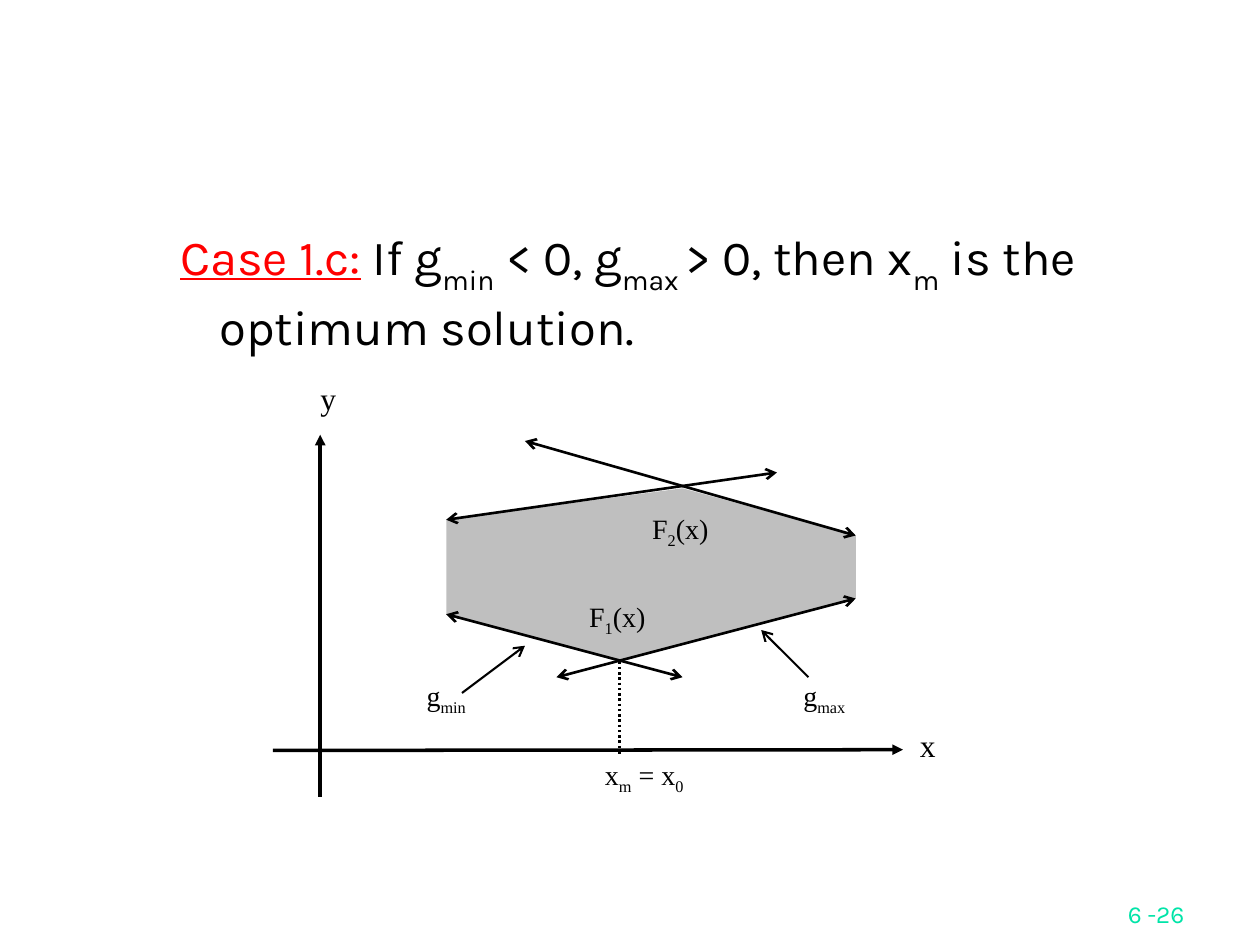
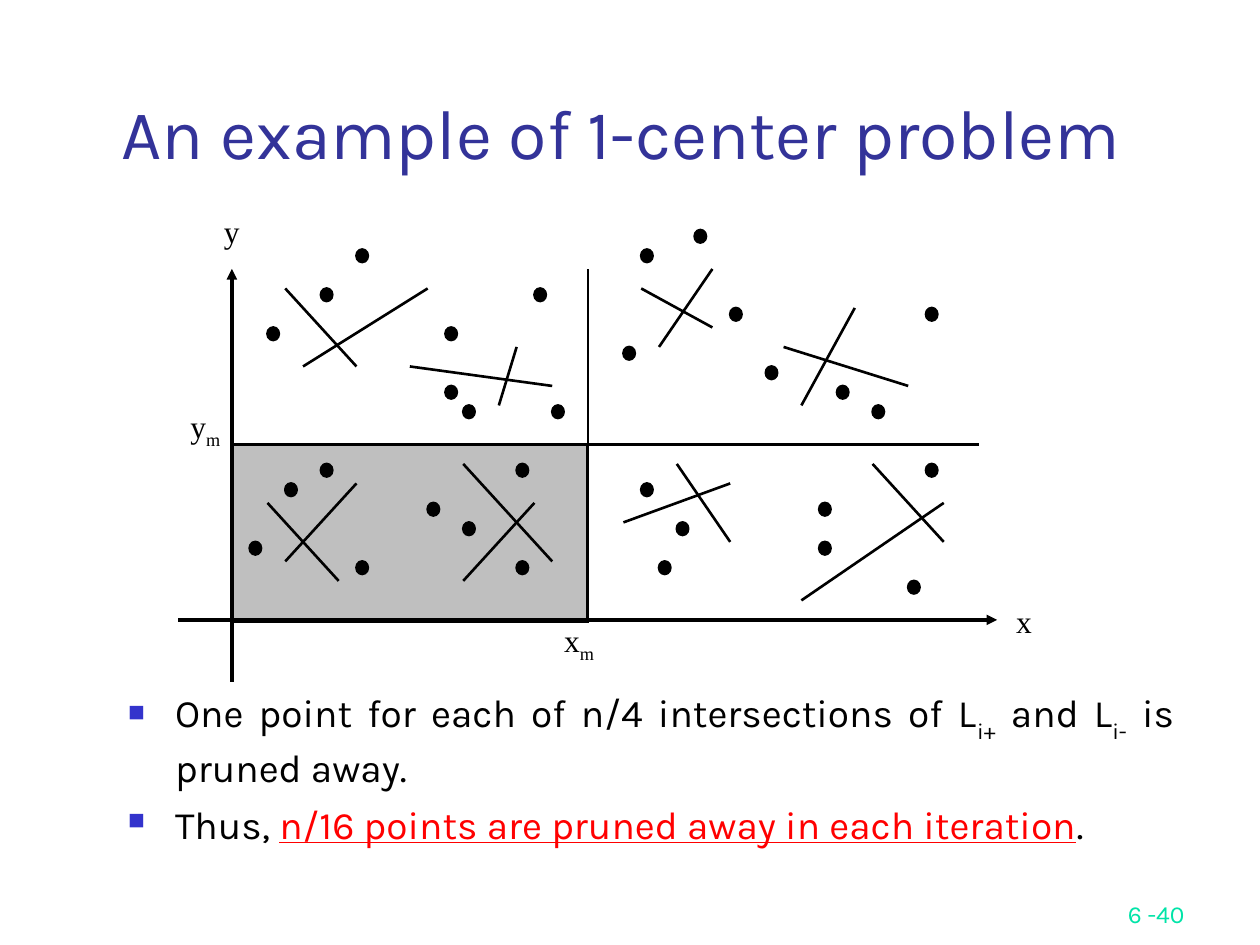
from dataclasses import dataclass
from typing import NamedTuple

from lxml.etree import SubElement
from pptx import Presentation
from pptx.dml.color import RGBColor
from pptx.enum.dml import MSO_LINE
from pptx.enum.shapes import MSO_CONNECTOR, MSO_SHAPE
from pptx.enum.text import MSO_ANCHOR, PP_ALIGN
from pptx.oxml.ns import qn
from pptx.util import Pt


# Theme: colours, fonts, type sizes and line widths
@dataclass(frozen=True)
class Theme:
    ink: str = "000000"
    hot: str = "FF0000"
    title: str = "333399"
    bullet: str = "3333CC"
    page: str = "00E4A8"
    shade: str = "BFBFBF"
    sans: str = "Karla"
    serif: str = "Times New Roman"
    title_size: float = 40
    case_size: float = 28
    list_size: float = 22.2
    axis_size: float = 18
    label_size: float = 16
    page_size: float = 14
    axis_line: float = 2
    line: float = 1.5
    thin: float = 1.19


THEME = Theme()


class Box(NamedTuple):
    left: float
    top: float
    width: float
    height: float


class Grid(NamedTuple):
    left: float
    top: float
    dx: float
    dy: float

    def at(self, col: float, row: float) -> tuple[float, float]:
        return self.left + col * self.dx, self.top + row * self.dy


@dataclass(frozen=True)
class Style:
    size: float
    font: str = THEME.sans
    color: str = THEME.ink
    align: PP_ALIGN = PP_ALIGN.LEFT
    anchor: MSO_ANCHOR = MSO_ANCHOR.TOP
    pad: tuple[float, float] = (7.2, 3.6)
    drop: int = -30
    margin: float = 0
    indent: float = 0
    gap: float = 0
    bullet: str = ""


@dataclass(frozen=True)
class Line:
    start: tuple[float, float]
    end: tuple[float, float]
    width: float = THEME.line
    head: str = ""
    tail: str = ""
    dotted: bool = False


@dataclass(frozen=True)
class Label:
    text: str
    spot: tuple[float, float]
    size: tuple[float, float]
    type_size: float = THEME.label_size
    align: PP_ALIGN = PP_ALIGN.LEFT


TITLE = Style(THEME.title_size, color=THEME.title, align=PP_ALIGN.CENTER,
              anchor=MSO_ANCHOR.BOTTOM)
PAGE = Style(THEME.page_size, color=THEME.page, align=PP_ALIGN.RIGHT,
             anchor=MSO_ANCHOR.BOTTOM)
CASE = Style(THEME.case_size, margin=58.3, indent=-22.3)
LIST = Style(THEME.list_size, align=PP_ALIGN.JUSTIFY, margin=27, indent=-27,
             gap=6, bullet="■")


# Text: "|" parts the runs, "_" lowers a run, "*" makes it red and underlined
def add_runs(para, text: str, style: Style) -> None:
    for part in text.split("|"):
        run = para.add_run()
        run.text = part.lstrip("_*")
        font = run.font
        font.name, font.size = style.font, Pt(style.size)
        hot = part.startswith("*")
        font.underline = hot
        font.color.rgb = RGBColor.from_string(THEME.hot if hot else style.color)
        if part.startswith("_"):
            run._r.get_or_add_rPr().set("baseline", str(style.drop * 1000))


def add_bullet(para, mark: str) -> None:
    props = para._p.get_or_add_pPr()
    color = SubElement(props, qn("a:buClr"))
    SubElement(color, qn("a:srgbClr"), val=THEME.bullet)
    SubElement(props, qn("a:buSzPct"), val="60000")
    SubElement(props, qn("a:buChar"), char=mark)


def add_text(slide, box: Box, style: Style, *lines: str) -> None:
    frame = slide.shapes.add_textbox(*map(Pt, box)).text_frame
    frame.word_wrap = True
    frame.vertical_anchor = style.anchor
    frame.margin_left = frame.margin_right = Pt(style.pad[0])
    frame.margin_top = frame.margin_bottom = Pt(style.pad[1])
    for i, line in enumerate(lines):
        para = frame.add_paragraph() if i else frame.paragraphs[0]
        props = para._p.get_or_add_pPr()
        props.set("marL", str(Pt(style.margin)))
        props.set("indent", str(Pt(style.indent)))
        if style.bullet:
            add_bullet(para, style.bullet)
        para.alignment = style.align
        if i:
            para.space_before = Pt(style.gap)
        add_runs(para, line, style)


def add_label(slide, grid: Grid, label: Label) -> None:
    style = Style(label.type_size, THEME.serif, align=label.align,
                  pad=(0.72, 0.72), drop=-25)
    add_text(slide, Box(*grid.at(*label.spot), *label.size), style, label.text)


# Drawing
def add_line(slide, grid: Grid, line: Line) -> None:
    ends = (*grid.at(*line.start), *grid.at(*line.end))
    shape = slide.shapes.add_connector(MSO_CONNECTOR.STRAIGHT, *map(Pt, ends))
    shape.line.width = Pt(line.width)
    shape.line.color.rgb = RGBColor.from_string(THEME.ink)
    if line.dotted:
        shape.line.dash_style = MSO_LINE.ROUND_DOT
    props = shape._element.spPr
    for tag, kind in (("a:headEnd", line.head), ("a:tailEnd", line.tail)):
        if kind:
            SubElement(props.find(qn("a:ln")), qn(tag), type=kind)
    SubElement(props, qn("a:effectLst"))


def paint(shape, fill: str, edged: bool = True) -> None:
    shape.shadow.inherit = False
    shape.fill.solid()
    shape.fill.fore_color.rgb = RGBColor.from_string(fill)
    if edged:
        shape.line.width = Pt(THEME.line)
        shape.line.color.rgb = RGBColor.from_string(THEME.ink)
    else:
        shape.line.fill.background()


def add_shape(slide, kind: MSO_SHAPE, box: Box, fill: str) -> None:
    paint(slide.shapes.add_shape(kind, *map(Pt, box)), fill)


def add_area(slide, grid: Grid, spots: list[tuple[float, float]]) -> None:
    first, *rest = [tuple(map(Pt, grid.at(*spot))) for spot in spots]
    path = slide.shapes.build_freeform(*first)
    path.add_line_segments(rest, close=True)
    paint(path.convert_to_shape(), THEME.shade, edged=False)


def add_slide(deck, page: str):
    slide = deck.slides.add_slide(deck.slide_layouts[6])
    add_text(slide, Box(534, 498, 150, 36), PAGE, page)
    return slide


# Slide: case 1.c
def draw_case(deck) -> None:
    slide = add_slide(deck, "6 -26")
    add_text(slide, Box(60, 126, 612, 324), CASE,
             "*Case 1.c:| If g|_min| < 0, g|_max |> 0, then x|_m"
             "| is the optimum solution.")
    grid = Grid(3, 0, 9, 9)
    add_area(slide, grid, [(28, 33), (28, 39), (39, 42), (54, 38), (54, 34),
                           (43, 31)])
    bounds = [((28, 33), (49, 30)), ((33, 28), (54, 34)),
              ((28, 39), (43, 43)), ((35, 43), (54, 38))]
    lines = [
        Line((20, 27.6), (20, 50.6), THEME.axis_line, head="triangle"),
        Line((57, 47.6), (17, 47.65), THEME.axis_line, head="triangle"),
        *(Line(a, b, head="arrow", tail="arrow") for a, b in bounds),
        Line((39, 42), (39, 48), dotted=True),
        Line((29, 44), (33, 41), THEME.thin, tail="arrow"),
        Line((51, 43), (48, 40), THEME.thin, tail="arrow"),
    ]
    for line in lines:
        add_line(slide, grid, line)
    mid = PP_ALIGN.CENTER
    labels = [
        Label("y", (19, 24), (27, 27), THEME.axis_size, mid),
        Label("x", (58, 46), (27, 27), THEME.axis_size),
        Label("x|_m| = x|_0", (38, 48), (54, 22)),
        Label("g|_max", (50, 43), (36, 27), align=mid),
        Label("g|_min", (26, 43), (36, 27), align=mid),
        Label("F|_2|(x)", (41, 32.4), (36, 27)),
        Label("F|_1|(x)", (37, 38), (36, 27)),
    ]
    for label in labels:
        add_label(slide, grid, label)


# Slide: 1-center example
def draw_center(deck) -> None:
    slide = add_slide(deck, "6 -40")
    add_text(slide, Box(48, 42, 613.5, 60.5), TITLE,
             "An example of 1-center problem")
    add_text(slide, Box(66, 390, 612, 114), LIST,
             "One point for each of n/4 intersections of L|_i+| and L|_i-"
             "| is pruned away.",
             "Thus, |*n/16 points are pruned away in each iteration|.")
    grid = Grid(102, 120.3, 10.17, 11.14)
    add_shape(slide, MSO_SHAPE.RECTANGLE,
              Box(*grid.at(3, 12), 20 * grid.dx, 9.1 * grid.dy), THEME.shade)

    # Axes, medians and the crossing pairs
    pairs = [
        ((7, 8), (14, 4)), ((6, 4), (10, 8)),
        ((13, 8), (21, 9)), ((19, 7), (18, 10)),
        ((10, 14), (6, 18)), ((5, 15), (9, 19)),
        ((16, 13), (21, 18)), ((20, 15), (16, 19)),
        ((25, 16), (31, 14)), ((28, 13), (31, 17)),
        ((39, 13), (43, 17)), ((43, 15), (35, 20)),
        ((26, 4), (30, 6)), ((30, 3), (27, 7)),
        ((34, 7), (41, 9)), ((35, 10), (38, 5)),
    ]
    lines = [
        Line((3, 3), (3, 24.2), THEME.axis_line, head="triangle"),
        Line((46, 21), (0, 21), THEME.axis_line, head="triangle"),
        Line((3, 12), (45, 12)),
        Line((23, 21.15), (23, 3)),
        *(Line(a, b) for a, b in pairs),
    ]
    for line in lines:
        add_line(slide, grid, line)

    # Points, by quarter
    dots = [
        (5, 6), (8, 4), (10, 2), (15, 6), (20, 4), (15, 9), (16, 10), (21, 10),
        (26, 2), (29, 1), (25, 7), (31, 5), (42, 5), (33, 8), (37, 9), (39, 10),
        (42, 13), (41, 19), (36, 15), (36, 17), (26, 14), (28, 16), (27, 18),
        (19, 13), (19, 18), (16, 16), (14, 15), (10, 18), (8, 13), (6, 14),
        (4, 17),
    ]
    for dot in dots:
        add_shape(slide, MSO_SHAPE.OVAL, Box(*grid.at(*dot), 6.5, 7.2),
                  THEME.ink)

    size, mid = THEME.axis_size, PP_ALIGN.CENTER
    labels = [
        Label("y", (2, 0), (20.3, 33.5), size, mid),
        Label("y|_m", (0, 10), (30.7, 33.5), size, mid),
        Label("x", (47, 20), (20.3, 22.3), size),
        Label("x|_m", (21, 21), (30.7, 33.5), size, mid),
    ]
    for label in labels:
        add_label(slide, grid, label)


def main() -> None:
    deck = Presentation()
    deck.slide_width, deck.slide_height = Pt(720), Pt(540)
    draw_case(deck)
    draw_center(deck)
    deck.save("out.pptx")


if __name__ == "__main__":
    main()
